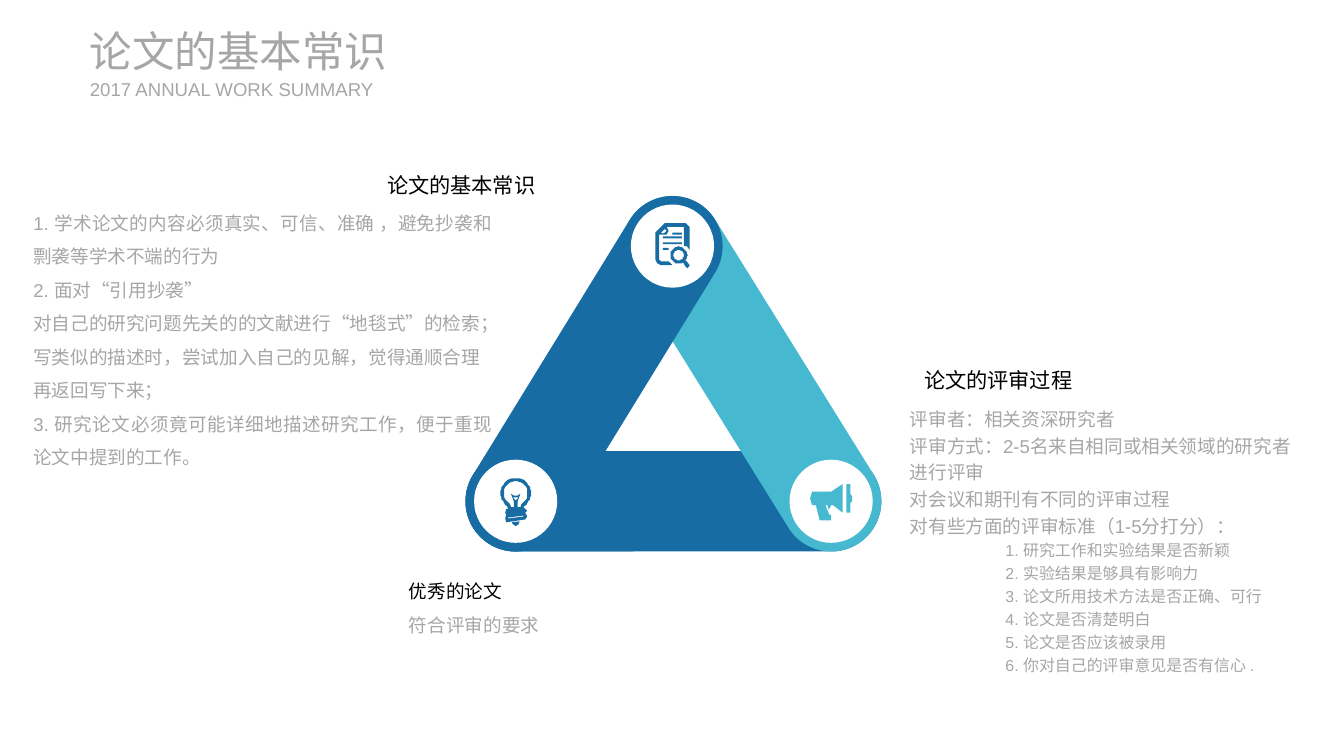
from math import atan2, cos, degrees, hypot, radians, sin

from pptx import Presentation
from pptx.dml.color import RGBColor
from pptx.enum.shapes import MSO_SHAPE
from pptx.enum.text import MSO_ANCHOR, MSO_AUTO_SIZE, PP_ALIGN
from pptx.util import Inches, Pt

BLUE = RGBColor(0x16, 0x6C, 0xA3)
TEAL = RGBColor(0x46, 0xB9, 0xD0)
WHITE = RGBColor(0xFF, 0xFF, 0xFF)
BLACK = RGBColor(0x00, 0x00, 0x00)
GRAY = RGBColor(0xA6, 0xA6, 0xA6)

CELL = Inches(0.25)
COLUMNS, ROWS = 56.24, 31.64
ICON_UNIT = CELL / 25
BAR_THICKNESS = 4.2
DISC_SIZE = 3.48

TOP_NODE = (28.14, 10.3)
LEFT_NODE = (21.58, 20.98)
RIGHT_NODE = (34.78, 20.98)
BASE_OVERLAP_END = (26.28, 20.98)

KNOWLEDGE = [
    "1. 学术论文的内容必须真实、可信、准确 ，避免抄袭和剽袭等学术不端的行为",
    "2. 面对“引用抄袭”",
    "对自己的研究问题先关的的文献进行“地毯式”的检索；",
    "写类似的描述时，尝试加入自己的见解，觉得通顺合理再返回写下来；",
    "3. 研究论文必须竟可能详细地描述研究工作，便于重现论文中提到的工作。",
]
REVIEW = [
    "评审者：相关资深研究者",
    "评审方式：2-5名来自相同或相关领域的研究者进行评审",
    "对会议和期刊有不同的评审过程",
    "对有些方面的评审标准（1-5分打分）：",
]
CRITERIA = [
    "1. 研究工作和实验结果是否新颖",
    "2. 实验结果是够具有影响力",
    "3. 论文所用技术方法是否正确、可行",
    "4. 论文是否清楚明白",
    "5. 论文是否应该被录用",
    "6. 你对自己的评审意见是否有信心 .",
]


def arc(x, y, radius, start=0, end=360):
    """Return points along a circular arc, with angles in degrees."""
    angles = [radians(start + (end - start) * step / 36) for step in range(37)]
    return [(x + radius * cos(angle), y + radius * sin(angle)) for angle in angles]


def box(left, top, right, bottom):
    """Return the corners of a rectangle."""
    return [(left, top), (right, top), (right, bottom), (left, bottom)]


def thread(top):
    """Return one slanted groove of the bulb's screw base."""
    return [(-8.5, top + 2), (7.5, top), (7.5, top + 1), (-8.5, top + 2.5)]


DOCUMENT_ICON = [
    [(-7.5, -23.5), (14, -23.5), (17.5, -20), (17.5, 3.5), (15, 0), (12.5, -0.5),
     (12.5, -18), (11.5, -19.5), (-5.5, -19.5), (-4, -16), (-6, -12), (-9.5, -11.5),
     (-13.5, -12.5), (-13.5, 14.5), (-12, 15.5), (-3.5, 15.5), (0.5, 19.5),
     (-12, 19.5), (-16, 17.5), (-17.5, 14.5), (-17.5, -14)],
    [(-7.5, -18.5), (-11.5, -14.5), (-9.5, -13), (-7.5, -13.5), (-6.5, -15.5)],
    box(-0.5, -14.5, 9.5, -12.5),
    box(-9.5, -9.5, 9.5, -7.5),
    box(-9.5, -4.5, 9.5, -2.5),
    box(-9.5, 1.5, -4.5, 3.5),
    arc(6.5, 9.5, 9),
    arc(6.5, 9.5, 5.5),
    [(11, 17.3), (13.8, 22), (16, 23), (18, 20), (14, 15.2)],
]
BULB_ICON = [
    arc(0, -8.5, 16, 123, 417) + [
        (8.5, 6.5), (10.5, 7.5), (11.5, 10), (10.5, 12.5), (11.5, 15.5), (10.5, 19),
        (-9.5, 21.5), (-11, 17.5), (-10.5, 14.5), (-11, 11.5), (-9.5, 7.5), (-8.5, 7.5)],
    arc(0, -8.5, 12.5, 117, 423) + [(5, 6.5), (-5, 6.5)],
    [(-5, -7.5), (-2, -5.5), (2, -5.5), (5, -7.5), (2.5, -0.5), (2.5, 6.5),
     (-2.5, 6.5), (-2.5, -0.5)],
    [(-3, -4.3), (3, -4.3), (0, -1)],
    box(-0.5, 0, 0.5, 6.5),
    thread(9.5),
    thread(15),
    [(-4.5, 22), (4.5, 21), (3, 24), (0, 25.5), (-3, 24)],
]
MEGAPHONE_ICON = [
    [(-20.5, -9.5), (-0.5, -9.5), (12.5, -18.5), (12.5, 12.5), (1.5, 4.5), (-0.5, 3.5),
     (-6.5, 3.5), (-2.5, 14.5), (-0.5, 14.5), (-0.5, 20.5), (-11.5, 20.5),
     (-16.5, 3.5), (-20.5, 3.5), (-21.5, -3)],
    [(15.5, -18.5), (19.5, -18.5), (19.5, -7.5), (22.5, -5), (22.5, 0), (19.5, 2.5),
     (19.5, 12.5), (15.5, 12.5)],
    [(-0.5, 4.5), (-4.5, 4.5), (-2.5, 10.5), (-1.5, 10.5), (-1.5, 8.5)],
]


class SlideBuilder:
    """Draw styled elements on one slide, placed by grid columns and rows."""

    def __init__(self, presentation, font_name="Arial"):
        self.font_name = font_name
        self.slide = presentation.slides.add_slide(presentation.slide_layouts[5])
        self.shapes = self.slide.shapes

    def cells(self, *values):
        """Convert grid cells to slide lengths."""
        return [round(value * CELL) for value in values]

    def paint(self, shape, color):
        """Give a shape a flat fill without line or shadow."""
        shape.fill.solid()
        shape.fill.fore_color.rgb = color
        shape.line.fill.background()
        shape.shadow.inherit = False

    def format_paragraph(self, paragraph, size, color, align, spacing, indent=0):
        """Apply the text style to one paragraph."""
        paragraph.alignment = align
        paragraph.line_spacing = spacing
        if indent:
            paragraph._p.get_or_add_pPr().set("marL", str(round(indent * CELL)))
        for run in paragraph.runs:
            run.font.name = self.font_name
            run.font.size = Pt(size)
            run.font.color.rgb = color

    def heading(self, shape, area, text, size):
        """Fill a heading shape that has no margins."""
        shape.left, shape.top, shape.width, shape.height = self.cells(*area)
        frame = shape.text_frame
        frame.text = text
        frame.word_wrap = True
        frame.auto_size = MSO_AUTO_SIZE.NONE
        frame.vertical_anchor = MSO_ANCHOR.MIDDLE
        frame.margin_left = frame.margin_right = frame.margin_top = frame.margin_bottom = 0
        self.format_paragraph(frame.paragraphs[0], size, GRAY, PP_ALIGN.LEFT, 1.0)

    def text(self, area, lines, size, color, align=PP_ALIGN.LEFT, spacing=1.2):
        """Add a wrapped text box with one paragraph per line."""
        frame = self.shapes.add_textbox(*self.cells(*area)).text_frame
        frame.word_wrap = True
        frame.auto_size = MSO_AUTO_SIZE.SHAPE_TO_FIT_TEXT
        frame.text = "\n".join(lines)
        for paragraph in frame.paragraphs:
            self.format_paragraph(paragraph, size, color, align, spacing)
        return frame

    def bar(self, start, end, color):
        """Add a round-ended bar between two nodes."""
        across, down = end[0] - start[0], end[1] - start[1]
        length = hypot(across, down) + BAR_THICKNESS
        left = (start[0] + end[0] - length) / 2
        top = (start[1] + end[1] - BAR_THICKNESS) / 2
        shape = self.shapes.add_shape(
            MSO_SHAPE.ROUNDED_RECTANGLE, *self.cells(left, top, length, BAR_THICKNESS))
        shape.adjustments[0] = 0.5
        shape.rotation = degrees(atan2(down, across)) % 360
        self.paint(shape, color)

    def disc(self, node):
        """Add a white disc centred on a node."""
        left, top = (value - DISC_SIZE / 2 for value in node)
        shape = self.shapes.add_shape(
            MSO_SHAPE.OVAL, *self.cells(left, top, DISC_SIZE, DISC_SIZE))
        self.paint(shape, WHITE)

    def icon(self, node, contours, color):
        """Add an icon outline centred on a node."""
        builder = self.shapes.build_freeform(*contours[0][0], scale=ICON_UNIT)
        for index, contour in enumerate(contours):
            if index:
                builder.move_to(*contour[0])
            builder.add_line_segments(contour[1:], close=True)
        self.paint(builder.convert_to_shape(*self.cells(*node)), color)


def main():
    """Build the slide and save it."""
    presentation = Presentation()
    presentation.slide_width = round(COLUMNS * CELL)
    presentation.slide_height = round(ROWS * CELL)
    builder = SlideBuilder(presentation)

    builder.heading(builder.shapes.title, (3.76, 1.04, 17.28, 2.16), "论文的基本常识", 32)
    subtitle = builder.shapes.add_textbox(0, 0, CELL, CELL)
    builder.heading(subtitle, (3.76, 3.24, 12.28, 0.96), "2017 ANNUAL WORK SUMMARY", 14)

    for start, end, color in [
        (LEFT_NODE, RIGHT_NODE, BLUE),
        (TOP_NODE, RIGHT_NODE, TEAL),
        (LEFT_NODE, TOP_NODE, BLUE),
        (LEFT_NODE, BASE_OVERLAP_END, BLUE),
    ]:
        builder.bar(start, end, color)
    for node, contours, color in [
        (TOP_NODE, DOCUMENT_ICON, BLUE),
        (LEFT_NODE, BULB_ICON, BLUE),
        (RIGHT_NODE, MEGAPHONE_ICON, TEAL),
    ]:
        builder.disc(node)
        builder.icon(node, contours, color)

    builder.text((16.72, 23.88, 10.28, 1.52), ["优秀的论文"], 14, BLACK)
    builder.text((16.72, 25.32, 17.2, 1.52), ["符合评审的要求"], 14, GRAY, PP_ALIGN.JUSTIFY)
    builder.text((9.16, 6.8, 13.64, 1.68), ["论文的基本常识"], 16, BLACK, PP_ALIGN.RIGHT)
    knowledge = builder.text((1, 8.2, 20, 11.72), KNOWLEDGE, 14, GRAY, PP_ALIGN.JUSTIFY, 1.5)
    for paragraph in knowledge.paragraphs[2:4]:
        paragraph.alignment = PP_ALIGN.LEFT
    builder.text((38.28, 14.96, 12.12, 1.68), ["论文的评审过程"], 16, BLACK)
    review = builder.text((37.68, 16.68, 17.48, 11.84), REVIEW + CRITERIA, 14, GRAY)
    for paragraph in review.paragraphs[len(REVIEW):]:
        builder.format_paragraph(paragraph, 12, GRAY, PP_ALIGN.LEFT, 1.2, indent=4)

    presentation.save("out.pptx")


if __name__ == "__main__":
    main()
